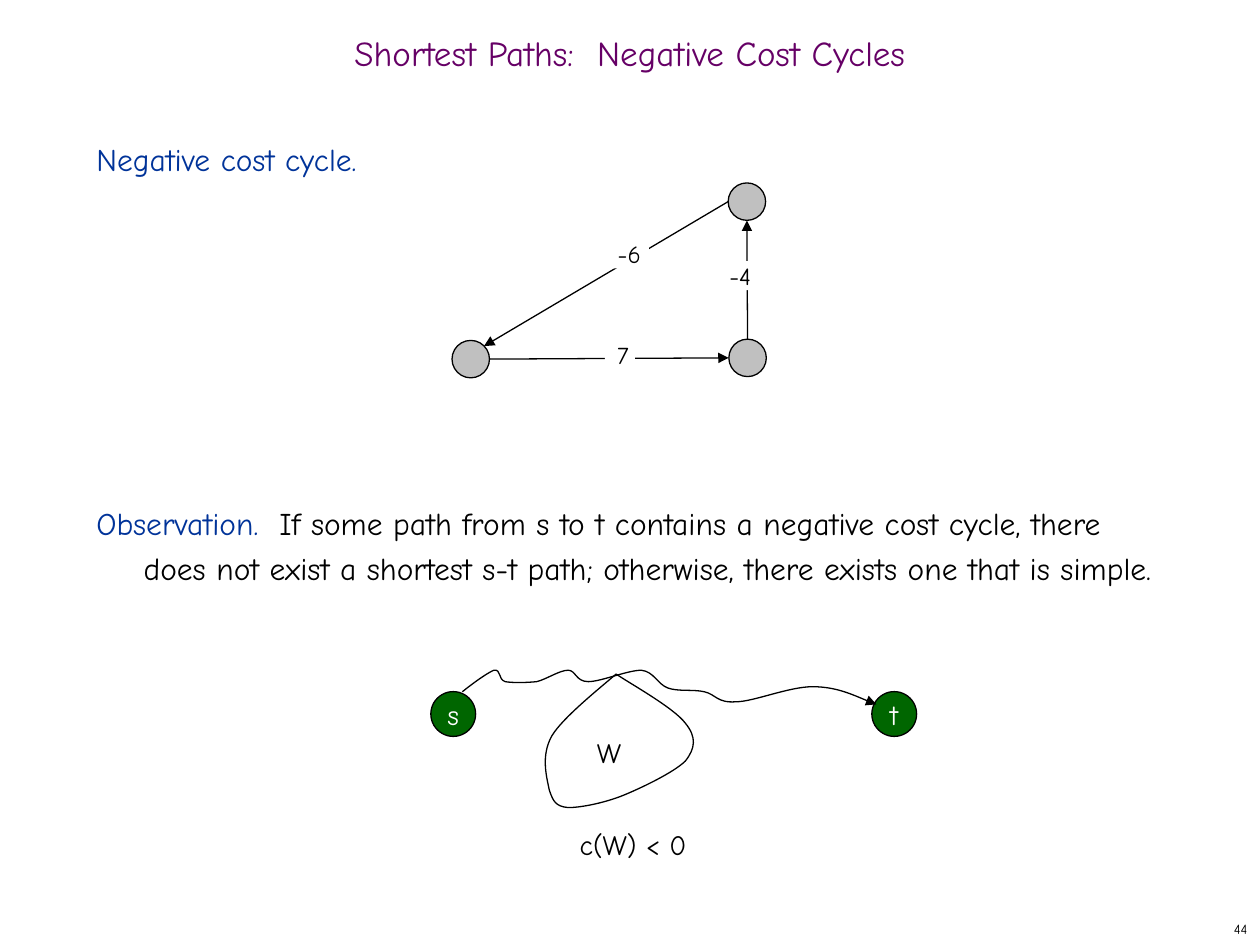
from pptx import Presentation
from pptx.dml.color import RGBColor
from pptx.enum.shapes import MSO_CONNECTOR, MSO_SHAPE
from pptx.enum.text import MSO_ANCHOR, PP_ALIGN
from pptx.oxml.ns import qn
from pptx.util import Pt
from lxml.etree import SubElement

COLORS = {
    "black": "000000", "white": "FFFFFF", "title": "660066",
    "heading": "003399", "terminal": "006600", "node": "C0C0C0",
}


class GraphSlide:
    font = "Comic Neue"
    line_width = 0.75

    def __init__(self, page):
        self.page = page

    def color(self, name):
        return RGBColor.from_string(COLORS[name])

    def style(self, span, size, color):
        span.font.name = self.font
        span.font.size = Pt(size)
        span.font.color.rgb = self.color(color)

    def outline(self, item, arrow=False):
        item.line.color.rgb = self.color("black")
        item.line.width = Pt(self.line_width)
        if arrow:
            border = item._element.spPr.find(qn("a:ln"))
            SubElement(border, qn("a:tailEnd"), type="triangle")

    def text(self, left, top, width, height, words, size, color="black",
             align=PP_ALIGN.CENTER):
        box = self.page.shapes.add_textbox(
            Pt(left), Pt(top), Pt(width), Pt(height))
        frame = box.text_frame
        frame.word_wrap = True
        frame.vertical_anchor = MSO_ANCHOR.MIDDLE
        frame.text = words
        paragraph = frame.paragraphs[0]
        paragraph.alignment = align
        self.style(paragraph.runs[0], size, color)
        return box

    def body(self, left, top, width, height, entries):
        """Each entry is (space before, [(words, color), ...])."""
        box = self.page.shapes.add_textbox(
            Pt(left), Pt(top), Pt(width), Pt(height))
        frame = box.text_frame
        frame.word_wrap = True
        for index, (space, spans) in enumerate(entries):
            paragraph = frame.add_paragraph() if index else frame.paragraphs[0]
            paragraph.line_spacing = Pt(26)
            paragraph.space_before = Pt(space)
            properties = paragraph._p.get_or_add_pPr()
            properties.set("marL", str(Pt(27)))
            properties.set("indent", str(-Pt(27)))
            for words, color in spans:
                span = paragraph.add_run()
                span.text = words
                self.style(span, 18, color)

    def node(self, x, y, diameter, color, words=""):
        circle = self.page.shapes.add_shape(
            MSO_SHAPE.OVAL, Pt(x - diameter / 2), Pt(y - diameter / 2),
            Pt(diameter), Pt(diameter))
        circle.shadow.inherit = False
        circle.fill.solid()
        circle.fill.fore_color.rgb = self.color(color)
        self.outline(circle)
        if words:
            frame = circle.text_frame
            frame.word_wrap = False
            frame.vertical_anchor = MSO_ANCHOR.MIDDLE
            frame.text = words
            frame.paragraphs[0].alignment = PP_ALIGN.CENTER
            self.style(frame.paragraphs[0].runs[0], 16, "white")

    def edge(self, start, end):
        line = self.page.shapes.add_connector(
            MSO_CONNECTOR.STRAIGHT, *(Pt(value) for value in start + end))
        self.outline(line, arrow=True)
        SubElement(line._element.spPr, qn("a:effectLst"))

    def weight(self, left, top, width, words):
        box = self.text(left, top, width, 16.6, words, 14)
        box.fill.solid()
        box.fill.fore_color.rgb = self.color("white")
        frame = box.text_frame
        frame.margin_left = Pt(3.5)
        frame.margin_right = frame.margin_top = frame.margin_bottom = 0

    def curve(self, points):
        """Cubic curve: a start point, then two controls and an end each."""
        start, *rest = [(Pt(x), Pt(y)) for x, y in points]
        builder = self.page.shapes.build_freeform(*start)
        builder.add_line_segments(rest, close=False)
        shape = builder.convert_to_shape()
        shape.shadow.inherit = False
        shape.fill.background()
        self.outline(shape, arrow=True)
        # Join every three straight steps into one cubic step
        steps = shape._element.xpath(".//a:lnTo")
        outline = steps[0].getparent()
        for index in range(0, len(steps), 3):
            cubic = SubElement(outline, qn("a:cubicBezTo"))
            for step in steps[index:index + 3]:
                cubic.append(step[0])
                outline.remove(step)


def main():
    deck = Presentation()
    deck.slide_width, deck.slide_height = Pt(720), Pt(540)
    slide = GraphSlide(deck.slides.add_slide(deck.slide_layouts[6]))

    # Page number, title and body
    slide.text(570, 522, 150, 18, "44", 8, align=PP_ALIGN.RIGHT)
    slide.text(0, 12, 720, 36, "Shortest Paths:  Negative Cost Cycles",
               20, "title")
    slide.body(48, 72, 618, 426, [
        (0, [("Negative cost cycle.", "heading")]),
        (182, [("Observation.  ", "heading"),
               ("If some path from s to t contains a negative cost cycle, "
                "there does not exist a shortest s-t path; otherwise, there "
                "exists one that is simple.", "black")]),
    ])

    # Path from s to t, with the cycle W on it
    slide.node(259, 408, 25.6, "terminal", "s")
    slide.node(511, 408, 25.6, "terminal", "t")
    slide.curve([
        (264.2, 395.3),
        (271.4, 389.5), (278.6, 384.5), (282.2, 383),
        (286.6, 382.3), (284.4, 388.1), (288.7, 389.5),
        (292.3, 390.2), (300.2, 390.2), (306.7, 389.5),
        (312.5, 388.1), (319.7, 383), (324.7, 383),
        (329, 383), (329, 389.5), (336.2, 389.5),
        (343.4, 389.5), (358.6, 383), (366.5, 383),
        (373.7, 383.8), (375.8, 391), (381.6, 393.1),
        (387.4, 395.3), (396, 393.8), (402.5, 395.3),
        (409, 396.7), (409.7, 401.8), (420.5, 401),
        (430.6, 401), (450.7, 392.4), (464.4, 392.4),
        (478.1, 392.4), (493.2, 399.6), (500.8, 402.5),
    ])
    slide.curve([
        (352.1, 385.2),
        (345.6, 391), (321.8, 409.7), (315.4, 420.5),
        (308.9, 432), (312.5, 444.2), (313.9, 451.4),
        (316.1, 457.9), (317.5, 460.8), (324.7, 461.5),
        (331.2, 461.5), (343.4, 459.4), (355, 455),
        (365.8, 450.7), (385.2, 441.4), (391.7, 434.9),
        (397.4, 427.7), (398.2, 421.2), (391.7, 413.3),
        (385.2, 404.6), (360.7, 391), (352.1, 385.2),
    ])
    slide.text(334, 416.5, 28, 26.6, "W", 16).text_frame.word_wrap = False
    slide.text(311.8, 469, 100, 26.6, "c(W) < 0", 16)

    # Triangle with negative total cost
    for x, y in [(426.8, 115.2), (427.2, 204.5), (269, 205.2)]:
        slide.node(x, y, 21.4, "node")
    for start, end in [((427.2, 193.8), (426.8, 126)),
                       ((279.8, 205.2), (416.4, 204.5)),
                       ((416.1, 115.2), (276.6, 197.8))]:
        slide.edge(start, end)
    for left, top, width, words in [(344.9, 136.8, 26, "-6"),
                                    (345.6, 194.4, 17.3, "7"),
                                    (407.5, 149.2, 27.4, "-4")]:
        slide.weight(left, top, width, words)

    deck.save("out.pptx")


if __name__ == "__main__":
    main()
